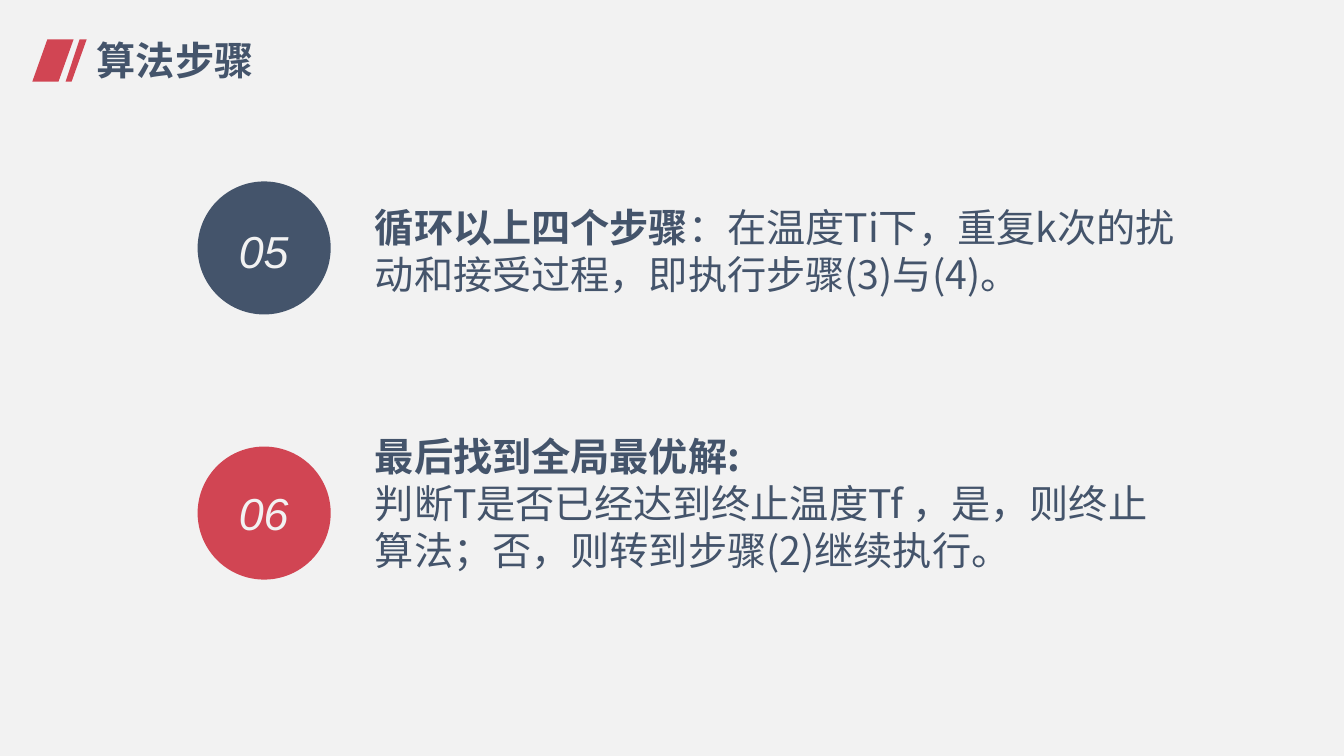
from pptx import Presentation
from pptx import util as u
from pptx.dml.color import RGBColor
from pptx.enum import shapes, text
from pptx.oxml.ns import qn

NAVY, RED, PALE = "44546B", "D14553", "F2F2F2"
LATIN, CJK = "Arial", "Noto Sans CJK SC"

TITLE = "算法步骤"
TITLE_BARS = [
    [(0.47, 0.39), (0.73, 0.39), (0.58, 0.81), (0.32, 0.81)],
    [(0.79, 0.39), (0.86, 0.39), (0.71, 0.81), (0.65, 0.81)],
]
# Each step: number, circle colour, circle top, number top, text box, paragraphs of (text, bold)
STEPS = [
    ("05", NAVY, 1.8, 2.17, (3.62, 1.97, 8.45, 1.04),
     [[("循环以上四个步骤", True),
       ("：在温度Ti下，重复k次的扰动和接受过程，即执行步骤(3)与(4)。", False)]]),
    ("06", RED, 4.43, 4.77, (3.62, 4.24, 8.04, 1.51),
     [[("最后找到全局最优解:", True)],
      [("判断T是否已经达到终止温度Tf ，是，则终止算法；否，则转到步骤(2)继续执行。", False)]]),
]
CIRCLE_LEFT, CIRCLE_SIZE = 1.96, 1.32
NUMBER_LEFT, NUMBER_W, NUMBER_H = 2.27, 0.7, 0.64


def rgb(value):
    return RGBColor.from_string(value)


def paint(sp, color):
    sp.shadow.inherit = False
    sp.fill.solid()
    sp.fill.fore_color.rgb = rgb(color)
    sp.line.fill.background()


def write(sp, paragraphs, color, wrap, **font):
    """Fill a shape with paragraphs of (text, bold) runs."""
    tf = sp.text_frame
    tf.word_wrap = wrap
    tf.auto_size = text.MSO_AUTO_SIZE.SHAPE_TO_FIT_TEXT
    for i, runs in enumerate(paragraphs):
        p = tf.add_paragraph() if i else tf.paragraphs[0]
        p.alignment = text.PP_ALIGN.LEFT
        for words, bold in runs:
            r = p.add_run()
            r.text = words
            for name, value in dict(font, bold=bold).items():
                setattr(r.font, name, value)
            r.font.color.rgb = rgb(color)
            east_asian = r.font._element.makeelement(qn("a:ea"), {"typeface": CJK})
            r.font._element.find(qn("a:latin")).addnext(east_asian)


def place(sp, *box):
    sp.left, sp.top, sp.width, sp.height = map(u.Inches, box)


def add_bar(slide, points):
    corners = [(u.Inches(x), u.Inches(y)) for x, y in points]
    builder = slide.shapes.build_freeform(*corners[0])
    builder.add_line_segments(corners[1:], close=True)
    paint(builder.convert_to_shape(), RED)


def add_text(slide, box, *args, **font):
    sp = slide.shapes.add_textbox(*map(u.Inches, box))
    write(sp, *args, **font)


def main():
    prs = Presentation()
    prs.slide_width, prs.slide_height = u.Inches(13.33), u.Inches(7.5)
    slide = prs.slides.add_slide(prs.slide_layouts[5])
    slide.background.fill.solid()
    slide.background.fill.fore_color.rgb = rgb(PALE)

    for points in TITLE_BARS:
        add_bar(slide, points)
    title = slide.shapes.title
    place(title, 0.86, 0.31, 1.77, 0.57)
    write(title, [[(TITLE, True)]], NAVY, False, name=LATIN, size=u.Pt(28))
    title.text_frame.vertical_anchor = text.MSO_ANCHOR.MIDDLE

    for number, color, circle_top, number_top, box, paragraphs in STEPS:
        circle = slide.shapes.add_shape(
            shapes.MSO_SHAPE.OVAL, *map(u.Inches, (CIRCLE_LEFT, circle_top, CIRCLE_SIZE, CIRCLE_SIZE)))
        paint(circle, color)
        add_text(slide, (NUMBER_LEFT, number_top, NUMBER_W, NUMBER_H), [[(number, False)]],
                 PALE, False, name=LATIN, size=u.Pt(32), italic=True)
        add_text(slide, box, paragraphs, NAVY, True, name=CJK, size=u.Pt(28))

    prs.save("out.pptx")


if __name__ == "__main__":
    main()
